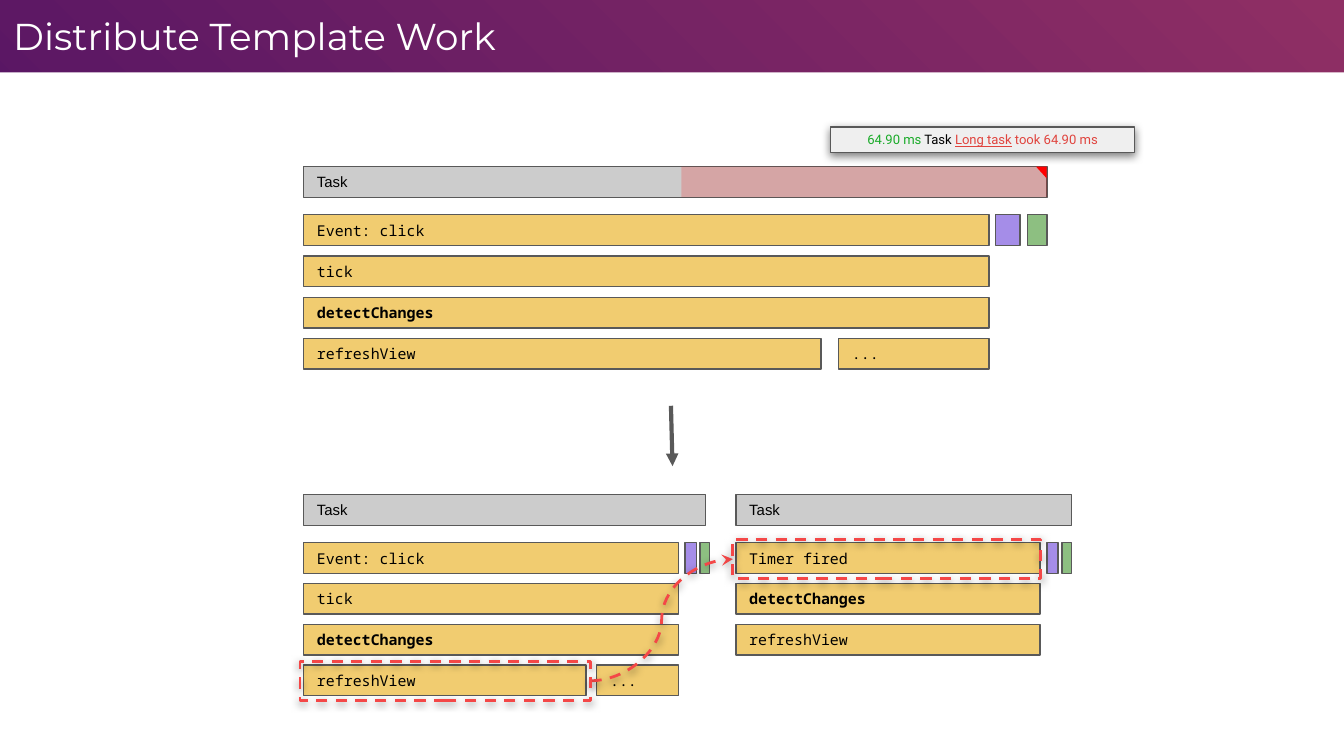
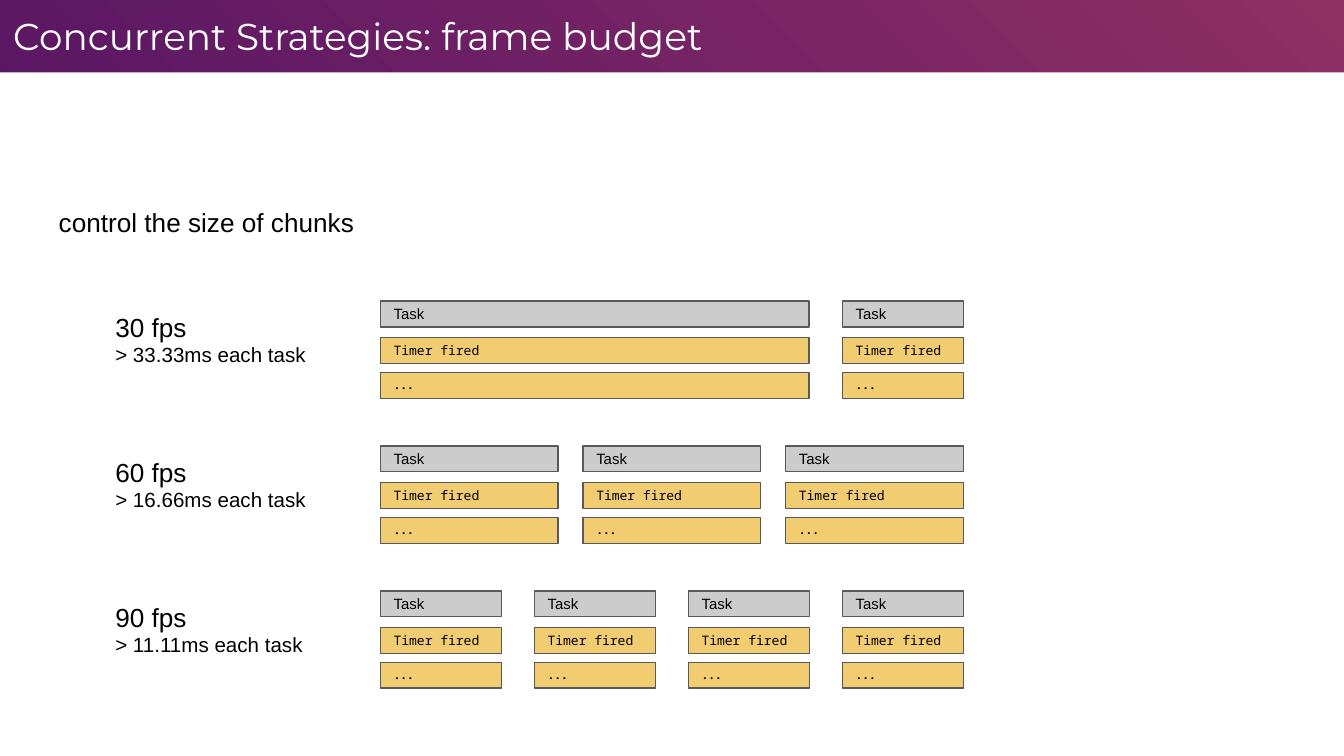
from lxml import etree
from pptx import Presentation
from pptx import util as u
from pptx.dml.color import RGBColor
from pptx.enum import dml, shapes, text
from pptx.oxml import parse_xml
from pptx.oxml.ns import nsdecls, qn

WHITE = RGBColor(0xFF, 0xFF, 0xFF)
BLACK = RGBColor(0x00, 0x00, 0x00)
GRAY = RGBColor(0xCC, 0xCC, 0xCC)
PALE = RGBColor(0xEF, 0xEF, 0xEF)
OUTLINE = RGBColor(0x59, 0x59, 0x59)
YELLOW = RGBColor(0xEF, 0xC4, 0x57)
PURPLE = RGBColor(0x9B, 0x7F, 0xE6)
GREEN = RGBColor(0x74, 0xB2, 0x66)
RED = RGBColor(0xFF, 0x00, 0x00)
CORAL = RGBColor(0xF4, 0x47, 0x47)
TIME_GREEN = RGBColor(0x1A, 0xAB, 0x29)
WARNING_RED = RGBColor(0xE0, 0x44, 0x3E)
BACKDROP_STOPS = [
    (0, RGBColor(0xF3, 0x5C, 0x65)),
    (0, RGBColor(0x8F, 0x2F, 0x64)),
    (64, RGBColor(0x5D, 0x18, 0x64)),
    (100, RGBColor(0x2B, 0x01, 0x63)),
]

SANS, MONO, DISPLAY, POPUP = "Arial", "Noto Sans Mono", "Montserrat", "Roboto"
SLIDE_WIDTH, SLIDE_HEIGHT, BAND_HEIGHT = 25.4, 14.29, 1.37
INSET = u.Cm(0.25)
INSETS = dict(margin_left=INSET, margin_right=INSET, margin_top=INSET, margin_bottom=INSET)
TITLE_FONT = dict(name=DISPLAY, size=u.Pt(20))
TASK_FONT = dict(name=SANS, size=u.Pt(8))
FRAME_FONT = dict(name=MONO, size=u.Pt(8))
BOLD_FRAME_FONT = dict(FRAME_FONT, bold=True)
POPUP_FONT = dict(name=POPUP, size=u.Pt(7))

DISTRIBUTE_TITLE = [("Distribute Template Work", TITLE_FONT, WHITE)]
POPUP_RUNS = [
    ("64.90 ms", POPUP_FONT, TIME_GREEN),
    (" Task ", POPUP_FONT, BLACK),
    ("Long task", dict(POPUP_FONT, underline=True), WARNING_RED),
    (" took 64.90 ms", POPUP_FONT, WARNING_RED),
]
PROFILES = [
    dict(left=5.74, top=3.15, pitch=0.78, task_width=14.05,
         frames=[[("Event: click", 12.95)], [("tick", 12.95)], [("detectChanges", 12.95)],
                 [("refreshView", 9.78), ("...", 2.84)]],
         gap=0.33, markers=[(18.82, 0.46), (19.42, 0.37)]),
    dict(left=5.74, top=9.35, pitch=0.77, task_width=7.6,
         frames=[[("Event: click", 7.09)], [("tick", 7.09)], [("detectChanges", 7.09)],
                 [("refreshView", 5.34), ("...", 1.55)]],
         gap=0.2, markers=[(12.95, 0.21), (13.23, 0.18)]),
    dict(left=13.91, top=9.35, pitch=0.77, task_width=6.34,
         frames=[[("Timer fired", 5.75)], [("detectChanges", 5.75)], [("refreshView", 5.75)]],
         gap=0.2, markers=[(19.79, 0.21), (20.07, 0.18)]),
]
BAR_HEIGHT, FRAMES_OFFSET = 0.58, 0.91
HIGHLIGHTS = [(5.67, 12.5, 5.49, 0.74), (13.85, 10.2, 5.81, 0.74)]

BUDGET_TITLE = [
    ("Concurrent Strategies: ", TITLE_FONT, WHITE),
    ("frame budget", dict(TITLE_FONT, size=u.Pt(20.2)), WHITE),
]
BUDGET_INTRO = "control the size of chunks"
LANES = [
    ("30 fps", "> 33.33ms each task", [8.1, 2.29]),
    ("60 fps", "> 16.66ms each task", [3.36] * 3),
    ("90 fps", "> 11.11ms each task", [2.29] * 4),
]
CHUNK_ROWS = [
    ("Task", 0, TASK_FONT, GRAY, 100),
    ("Timer fired", 0.69, dict(FRAME_FONT, size=u.Pt(7)), YELLOW, 85),
    ("...", 1.35, dict(BOLD_FRAME_FONT, size=u.Pt(6)), YELLOW, 85),
]
LANE_LEFT, LANE_TOP, LANE_PITCH, LANE_SPAN, CHUNK_HEIGHT = 7.19, 5.69, 2.74, 11.02, 0.49


def set_values(target, values):
    for name, value in values.items():
        setattr(target, name, value)


def write_lines(shape, lines, anchor, align=text.PP_ALIGN.LEFT):
    set_values(shape.text_frame, dict(INSETS, word_wrap=True, vertical_anchor=anchor))
    paragraph = shape.text_frame.paragraphs[0]
    paragraph.alignment = align
    for number, runs in enumerate(lines):
        if number:
            paragraph.add_line_break()
        for words, font, color in runs:
            run = paragraph.add_run()
            run.text = words
            set_values(run.font, font)
            run.font.color.rgb = color


def add_text(slide, box, *lines):
    shape = slide.shapes.add_textbox(*map(u.Cm, box))
    write_lines(shape, lines, text.MSO_ANCHOR.TOP)


def add_effects(shape, shadow=False):
    properties = shape.element.spPr
    for old in properties.findall(qn("a:effectLst")):
        properties.remove(old)
    effects = etree.SubElement(properties, qn("a:effectLst"))
    if shadow:
        effects.append(parse_xml(
            f'<a:outerShdw {nsdecls("a")} blurRad="{u.Pt(4.5)}" dist="{u.Pt(1.5)}" dir="5400000" '
            'algn="bl" rotWithShape="0"><a:srgbClr val="000000"><a:alpha val="50000"/>'
            '</a:srgbClr></a:outerShdw>'))


def style_line(shape, color, width, dashed=False, arrow=None):
    shape.line.color.rgb = color
    shape.line.width = u.Pt(width)
    if dashed:
        shape.line.dash_style = dml.MSO_LINE.DASH
    if arrow:
        line = shape.element.spPr.find(qn("a:ln"))
        etree.SubElement(line, qn("a:tailEnd"), type=arrow)


def add_block(parent, box, fill=None, opacity=100, outline=OUTLINE, line_width=0.75,
              dashed=False, shadow=False, kind=shapes.MSO_SHAPE.RECTANGLE):
    shape = parent.shapes.add_shape(kind, *map(u.Cm, box))
    if fill is None:
        shape.fill.background()
    else:
        shape.fill.solid()
        shape.fill.fore_color.rgb = fill
        if opacity < 100:
            color = shape.element.spPr.find(qn("a:solidFill")).find(qn("a:srgbClr"))
            etree.SubElement(color, qn("a:alpha"), val=str(opacity * 1000))
    if outline is None:
        shape.line.fill.background()
    else:
        style_line(shape, outline, line_width, dashed)
    add_effects(shape, shadow)
    return shape


def add_bar(parent, box, label, font, fill, opacity=100):
    bar = add_block(parent, box, fill, opacity)
    write_lines(bar, [[(label, font, BLACK)]], text.MSO_ANCHOR.MIDDLE)


def add_arrow(slide, kind, ends, color, width, arrow, dashed=False, shadow=False):
    connector = slide.shapes.add_connector(kind, *map(u.Cm, ends))
    style_line(connector, color, width, dashed, arrow)
    add_effects(connector, shadow)


def add_page(presentation, title):
    slide = presentation.slides.add_slide(presentation.slide_layouts[6])
    slide.background.fill.gradient()
    gradient = next(slide.element.iter(qn("a:gradFill")))
    stops = "".join(f'<a:gs pos="{position * 1000}"><a:srgbClr val="{color}"/></a:gs>'
                    for position, color in BACKDROP_STOPS)
    gradient.getparent().replace(gradient, parse_xml(
        f'<a:gradFill {nsdecls("a")}><a:gsLst>{stops}</a:gsLst><a:path path="circle">'
        '<a:fillToRect l="100000" b="100000"/></a:path><a:tileRect/></a:gradFill>'))
    add_block(slide, (0, BAND_HEIGHT, SLIDE_WIDTH, SLIDE_HEIGHT - BAND_HEIGHT), WHITE, outline=None)
    add_text(slide, (0, 0, 22.89, BAND_HEIGHT), title)
    return slide


def add_profile(slide, profile):
    left, top = profile["left"], profile["top"]
    add_bar(slide, (left, top, profile["task_width"], BAR_HEIGHT), "Task", TASK_FONT, GRAY)
    frames_top = top + FRAMES_OFFSET
    for row, frames in enumerate(profile["frames"]):
        x = left
        for label, width in frames:
            font = BOLD_FRAME_FONT if label == "detectChanges" else FRAME_FONT
            box = (x, frames_top + row * profile["pitch"], width, BAR_HEIGHT)
            add_bar(slide, box, label, font, YELLOW, 85)
            x += width + profile["gap"]
    for (x, width), (fill, opacity) in zip(profile["markers"], [(PURPLE, 89), (GREEN, 82)]):
        add_block(slide, (x, frames_top, width, BAR_HEIGHT), fill, opacity)


def build_distribute(presentation):
    slide = add_page(presentation, DISTRIBUTE_TITLE)
    for profile in PROFILES:
        add_profile(slide, profile)
    add_block(slide, (12.88, 3.15, 6.91, BAR_HEIGHT), RED, 19, outline=None)
    corner = add_block(slide, (19.58, 3.15, 0.2, 0.22), RED, outline=None,
                       kind=shapes.MSO_SHAPE.RIGHT_TRIANGLE)
    corner.rotation = 180
    popup = add_block(slide, (15.7, 2.4, 5.74, 0.48), PALE, shadow=True)
    write_lines(popup, [POPUP_RUNS], text.MSO_ANCHOR.MIDDLE, text.PP_ALIGN.CENTER)
    add_arrow(slide, shapes.MSO_CONNECTOR.CURVE, (11.16, 12.87, 13.85, 10.57),
              CORAL, 1.5, "stealth", dashed=True, shadow=True)
    for box in HIGHLIGHTS:
        add_block(slide, box, outline=CORAL, line_width=1.5, dashed=True, shadow=True)
    add_arrow(slide, shapes.MSO_CONNECTOR.STRAIGHT, (12.68, 7.67, 12.71, 8.81),
              OUTLINE, 2.25, "triangle")


def build_budget(presentation):
    slide = add_page(presentation, BUDGET_TITLE)
    heading_font = dict(name=SANS, size=u.Pt(14))
    detail_font = dict(name=SANS, size=u.Pt(11))
    add_text(slide, (0.86, 3.66, 9.68, 1.12), [(BUDGET_INTRO, heading_font, BLACK)])
    for number, (rate, budget, widths) in enumerate(LANES):
        top = LANE_TOP + number * LANE_PITCH
        add_text(slide, (1.93, top - 0.06, 4.5, 1.57),
                 [(rate, heading_font, BLACK)], [(budget, detail_font, BLACK)])
        gap = (LANE_SPAN - sum(widths)) / (len(widths) - 1)
        left = LANE_LEFT
        for width in widths:
            chunk = slide.shapes.add_group_shape()
            for label, offset, font, fill, opacity in CHUNK_ROWS:
                add_bar(chunk, (left, top + offset, width, CHUNK_HEIGHT), label, font, fill, opacity)
            left += width + gap


def main():
    presentation = Presentation()
    presentation.slide_width = u.Cm(SLIDE_WIDTH)
    presentation.slide_height = u.Cm(SLIDE_HEIGHT)
    build_distribute(presentation)
    build_budget(presentation)
    presentation.save("out.pptx")


if __name__ == "__main__":
    main()
